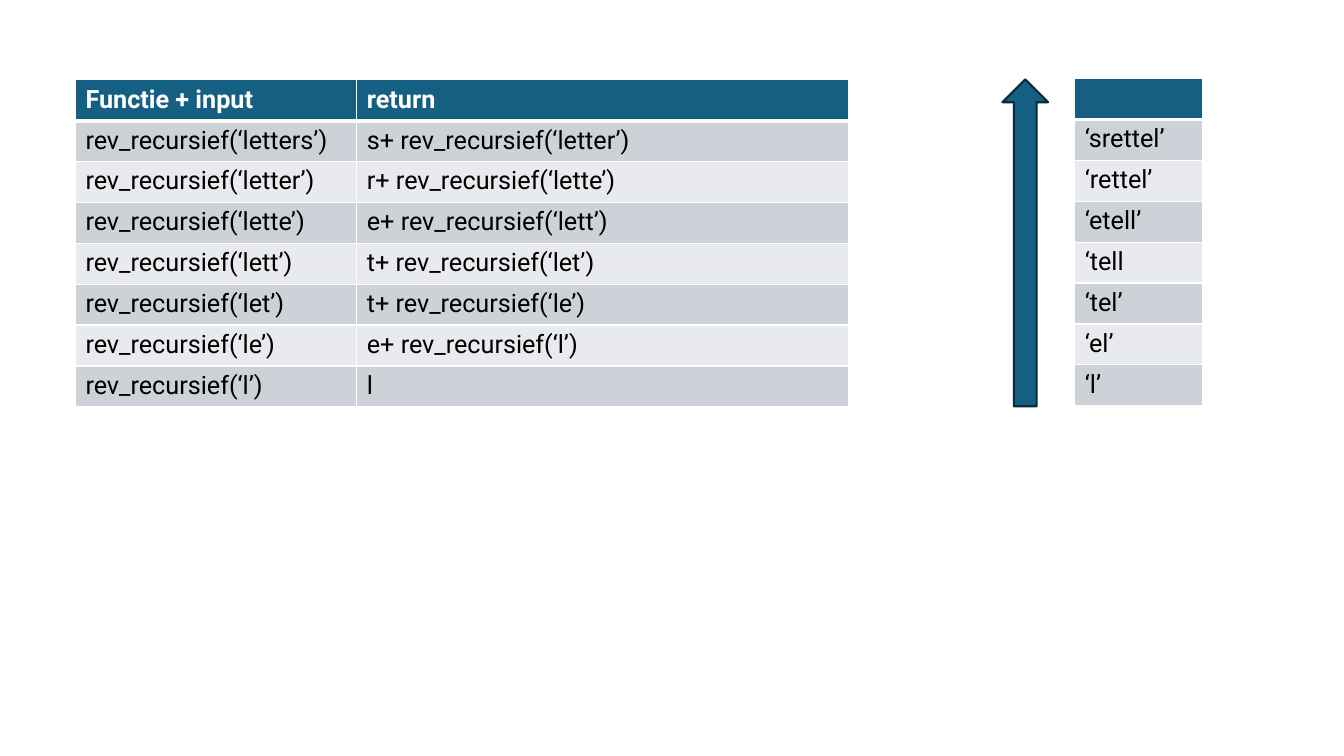
from lxml.etree import SubElement
from pptx import Presentation
from pptx.dml.color import RGBColor
from pptx.enum.shapes import MSO_SHAPE
from pptx.oxml.ns import qn
from pptx.util import Pt


def paint(fill, tone):
    fill.solid()
    fill.fore_color.rgb = RGBColor.from_string(tone)


def grid(left, top, wides, rows):
    high = 29.2
    table = slide.shapes.add_table(
        len(rows), len(wides), Pt(left), Pt(top), Pt(sum(wides)), Pt(high * len(rows))
    ).table
    for col, wide in zip(table.columns, wides):
        col.width = Pt(wide)
    for i, texts in enumerate(rows):
        table.rows[i].height = Pt(high)
        for j, text in enumerate(texts):
            cell = table.cell(i, j)
            props = cell._tc.get_or_add_tcPr()
            for side in "LRTB":
                thick = 3 if (i, side) in ((0, "B"), (1, "T")) else 1
                edge = SubElement(props, qn(f"a:ln{side}"), w=str(Pt(thick)))
                SubElement(SubElement(edge, qn("a:solidFill")), qn("a:srgbClr"), val="FFFFFF")
            paint(cell.fill, "156082" if i == 0 else ("E8EAED", "CCD2D8")[i % 2])
            if text:
                run = cell.text_frame.paragraphs[0].add_run()
                run.text = text
                look = {"name": "Roboto", "size": Pt(18), "bold": i == 0}
                for key, value in look.items():
                    setattr(run.font, key, value)
                paint(run.font.fill, "FFFFFF" if i == 0 else "000000")


deck = Presentation()
deck.slide_width, deck.slide_height = Pt(960), Pt(540)
slide = deck.slides.add_slide(deck.slide_layouts[6])

calls = [
    ("Functie + input", "return"),
    ("rev_recursief(‘letters’)", "s+ rev_recursief(‘letter’)"),
    ("rev_recursief(‘letter’)", "r+ rev_recursief(‘lette’)"),
    ("rev_recursief(‘lette’)", "e+ rev_recursief(‘lett’)"),
    ("rev_recursief(‘lett’)", "t+ rev_recursief(‘let’)"),
    ("rev_recursief(‘let’)", "t+ rev_recursief(‘le’)"),
    ("rev_recursief(‘le’)", "e+ rev_recursief(‘l’)"),
    ("rev_recursief(‘l’)", "l"),
]
grid(53.9, 57, [201, 351.2], calls)

arrow = slide.shapes.add_shape(MSO_SHAPE.DOWN_ARROW, Pt(716), Pt(56.7), Pt(32.6), Pt(233.5))
arrow.rotation = 180
arrow.shadow.inherit = False
paint(arrow.fill, "156082")
paint(arrow.line.fill, "092A39")
arrow.line.width = Pt(1.5)

words = ["", "‘srettel’", "‘rettel’", "‘etell’", "‘tell", "‘tel’", "‘el’", "‘l’"]
grid(767.7, 56.2, [91], [[word] for word in words])

deck.save("out.pptx")
